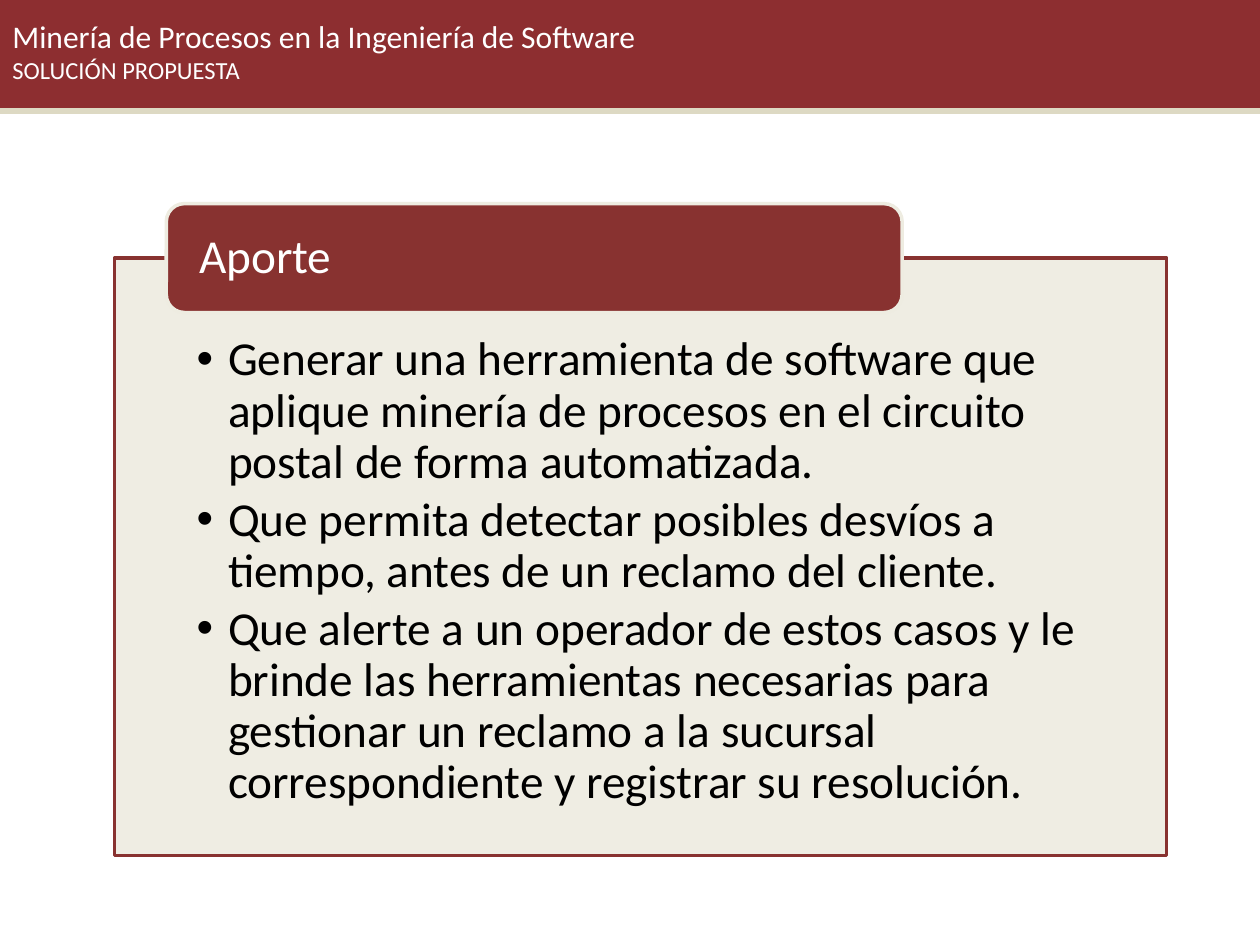
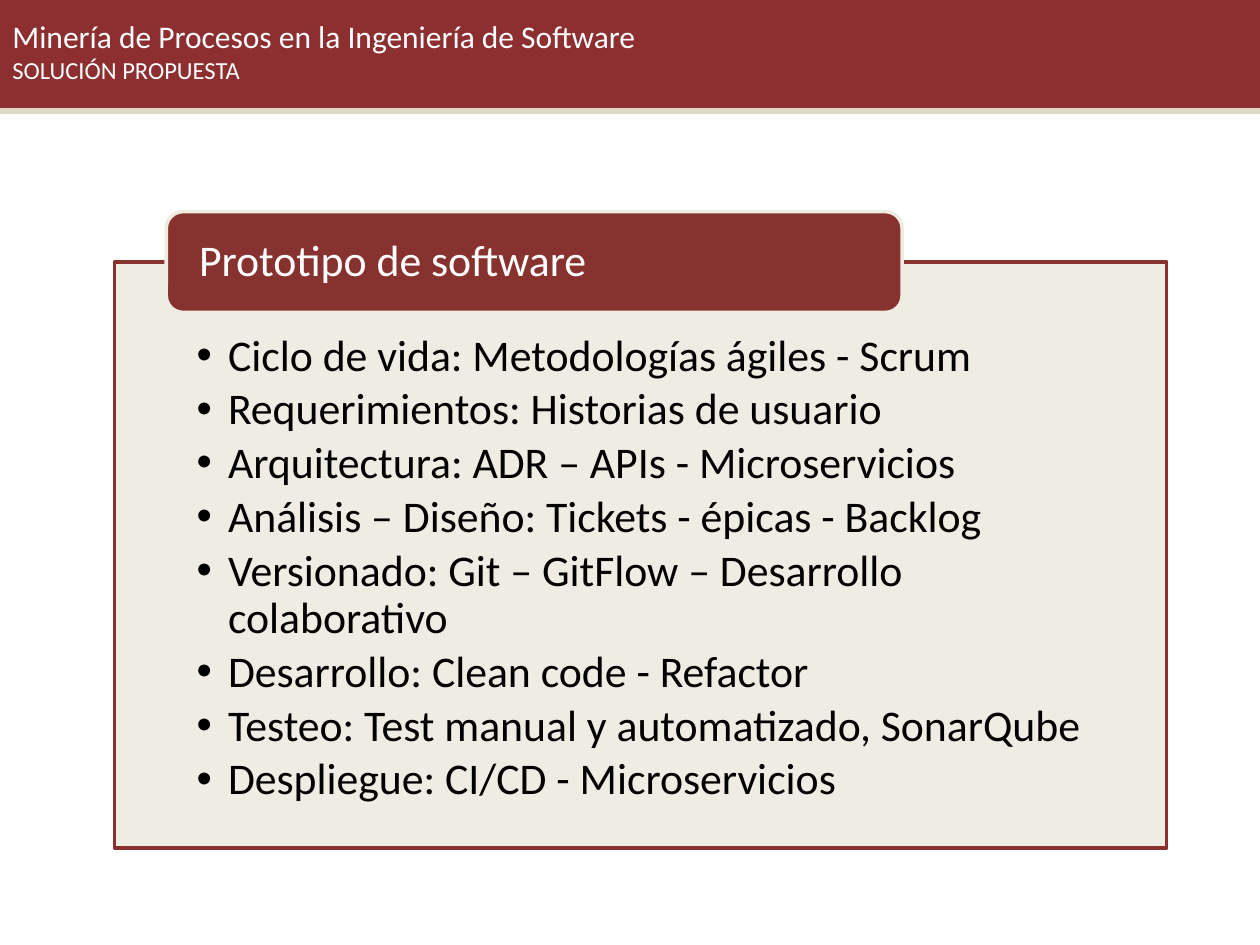
from lxml.etree import SubElement
from pptx import Presentation
from pptx.dml.color import RGBColor
from pptx.enum.shapes import MSO_SHAPE as Preset
from pptx.enum.text import MSO_ANCHOR as Anchor, MSO_AUTO_SIZE as AutoSize, PP_ALIGN as Align
from pptx.oxml.ns import qn
from pptx.util import Inches, Pt

COLORS = {"band": "8D2E30", "rule": "DDD9C3", "panel": "EEECE1",
          "accent": "883230", "light": "FFFFFF", "dark": "000000"}
COLUMNS, ROWS = 100, 75
TITLE_AND_CONTENT = 1
COURSE, SECTION = "Minería de Procesos en la Ingeniería de Software", "SOLUCIÓN PROPUESTA"

# Card geometry in grid units; the tab straddles the upper edge of the panel
PANEL_LEFT, PANEL_WIDTH = 9.1, 83.5
TAB_LEFT, TAB_WIDTH, TAB_BOTTOM = 13.2, 58.4, 24.8
TAB_ROWS_PER_POINT = 0.32

CARDS = [
    {"heading": "Aporte", "size": 27, "panel_height": 47.4, "points": [
        "Generar una herramienta de software que aplique minería de procesos "
        "en el circuito postal de forma automatizada.",
        "Que permita detectar posibles desvíos a tiempo, antes de un reclamo del cliente.",
        "Que alerte a un operador de estos casos y le brinde las herramientas necesarias "
        "para gestionar un reclamo a la sucursal correspondiente y registrar su resolución.",
    ]},
    {"heading": "Prototipo de software", "size": 25, "panel_height": 46.5, "points": [
        "Ciclo de vida: Metodologías ágiles - Scrum",
        "Requerimientos: Historias de usuario",
        "Arquitectura: ADR – APIs - Microservicios",
        "Análisis – Diseño: Tickets - épicas - Backlog",
        "Versionado: Git – GitFlow – Desarrollo colaborativo",
        "Desarrollo: Clean code - Refactor",
        "Testeo: Test manual y automatizado, SonarQube",
        "Despliegue: CI/CD - Microservicios",
    ]},
]


def apply(target, values):
    for name, value in values.items():
        setattr(target, name, value)


class Deck:
    def __init__(self):
        self.show = Presentation()
        apply(self.show, {"slide_width": Inches(10), "slide_height": Inches(7.5)})
        self.slide = None

    def color(self, name):
        return RGBColor.from_string(COLORS[name])

    def place(self, shape, left, top, width, height):
        column, row = self.show.slide_width / COLUMNS, self.show.slide_height / ROWS
        apply(shape, {"left": round(left * column), "top": round(top * row),
                      "width": round(width * column), "height": round(height * row)})

    def paint(self, shape, fill, line):
        shape.fill.solid()
        shape.fill.fore_color.rgb = self.color(fill)
        shape.line.color.rgb = self.color(line)
        shape.line.width = Pt(2)

    def block(self, area, fill, line, preset=Preset.RECTANGLE):
        block = self.slide.shapes.add_shape(preset, 0, 0, 0, 0)
        block.shadow.inherit = False
        self.place(block, *area)
        self.paint(block, fill, line)
        return block

    def set_text(self, paragraph, text, size, color, **format_values):
        apply(paragraph, {"alignment": Align.LEFT, "space_before": Pt(0), **format_values})
        run = paragraph.add_run()
        run.text = text
        apply(run.font, {"name": "Calibri", "size": Pt(size)})
        run.font.color.rgb = self.color(color)

    def raise_to_front(self, shape):
        self.slide.shapes.element.append(shape.element)

    def new_slide(self):
        self.slide = self.show.slides.add_slide(self.show.slide_layouts[TITLE_AND_CONTENT])
        # Header band with its thin rule
        self.block((0, 8.4, COLUMNS, 0.5), "rule", "rule")
        frame = self.block((0, -0.3, COLUMNS, 8.7), "band", "band").text_frame
        apply(frame, {"word_wrap": True, "vertical_anchor": Anchor.MIDDLE})
        self.set_text(frame.paragraphs[0], COURSE, 18, "light")
        self.set_text(frame.add_paragraph(), SECTION, 14, "light")

    def bullet_panel(self, area, points, size):
        panel = self.slide.placeholders[1]
        self.place(panel, *area)
        self.paint(panel, "panel", "accent")
        shade = panel.element.spPr.find(qn("a:solidFill"))[0]
        SubElement(shade, qn("a:alpha"), val="90000")
        frame = panel.text_frame
        apply(frame, {"auto_size": AutoSize.NONE, "vertical_anchor": Anchor.TOP,
                      "margin_left": Inches(0.65), "margin_right": Inches(0.65),
                      "margin_top": Pt(size * 1.63), "margin_bottom": Pt(size * 0.56)})
        for index, point in enumerate(points):
            paragraph = frame.add_paragraph() if index else frame.paragraphs[0]
            properties = paragraph._p.get_or_add_pPr()
            properties.set("marL", str(Inches(0.25)))
            properties.set("indent", str(-Inches(0.25)))
            SubElement(properties, qn("a:buChar"), char="•")
            self.set_text(paragraph, point, size, "dark",
                          line_spacing=0.9, space_after=Pt(size * 0.15))
        self.raise_to_front(panel)

    def heading_tab(self, area, text, size):
        self.block(area, "accent", "panel", Preset.ROUNDED_RECTANGLE)
        heading = self.slide.shapes.title
        left, top, width, height = area
        self.place(heading, left + 0.4, top + 0.4, width - 0.8, height - 0.8)
        apply(heading.text_frame, {
            "auto_size": AutoSize.NONE, "vertical_anchor": Anchor.MIDDLE,
            "margin_left": Inches(0.22), "margin_right": Inches(0.22),
            "margin_top": 0, "margin_bottom": 0})
        self.set_text(heading.text_frame.paragraphs[0], text, size, "light", line_spacing=0.9)
        self.raise_to_front(heading)

    def card(self, heading, size, panel_height, points):
        tab_height = size * TAB_ROWS_PER_POINT
        panel_top = TAB_BOTTOM - tab_height / 2
        self.bullet_panel((PANEL_LEFT, panel_top, PANEL_WIDTH, panel_height), points, size)
        self.heading_tab((TAB_LEFT, TAB_BOTTOM - tab_height, TAB_WIDTH, tab_height),
                         heading, size)


def main():
    deck = Deck()
    for card in CARDS:
        deck.new_slide()
        deck.card(**card)
    deck.show.save("out.pptx")


if __name__ == "__main__":
    main()
